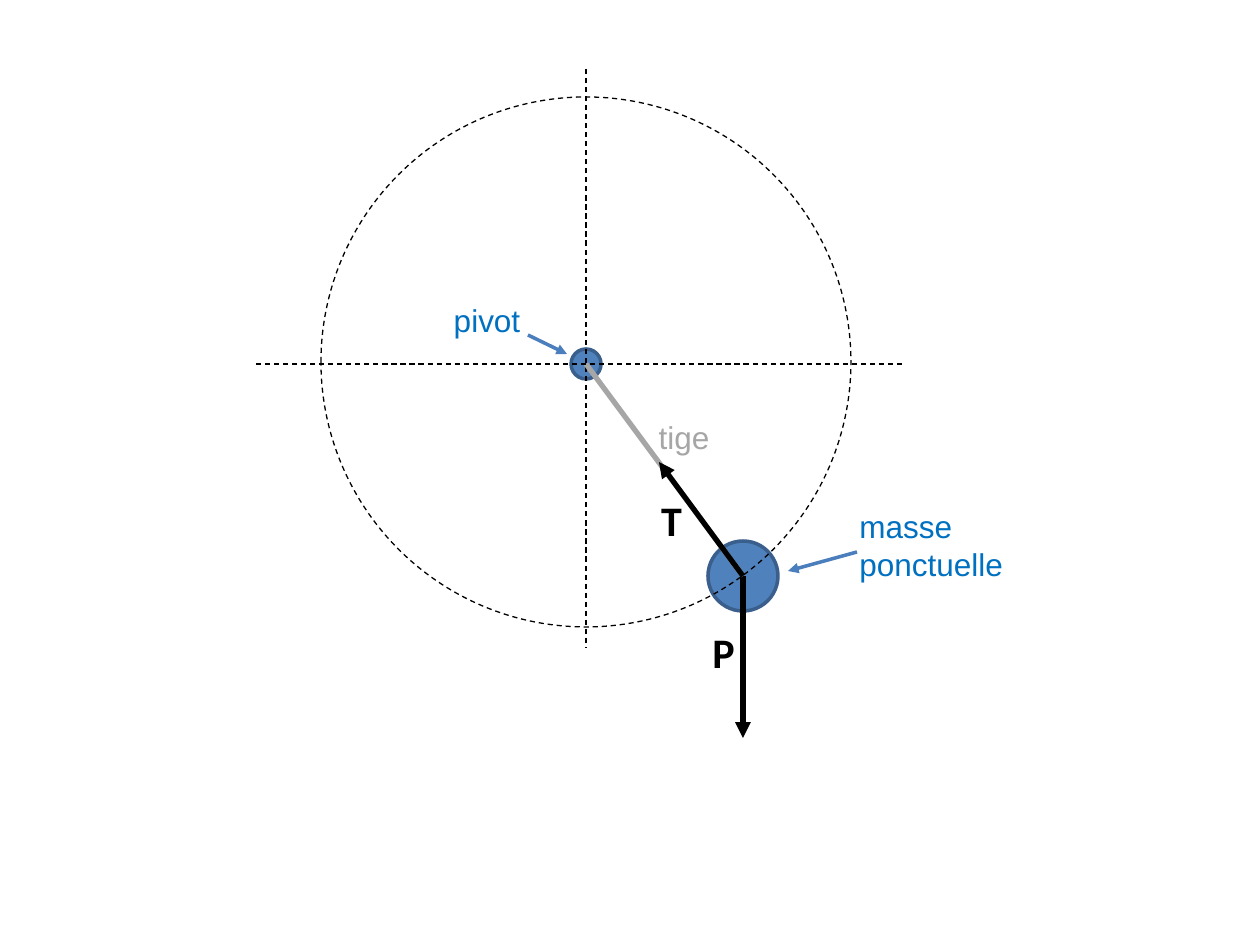
import pptx
import pptx.dml.color
import pptx.enum.dml
import pptx.enum.shapes
import pptx.enum.text
import pptx.oxml.ns
import pptx.util
from lxml import etree

RGBColor = pptx.dml.color.RGBColor
BLACK = RGBColor(0x00, 0x00, 0x00)
GREY = RGBColor(0xA6, 0xA6, 0xA6)
BALL_FILL = RGBColor(0x4F, 0x81, 0xBD)
BALL_EDGE = RGBColor(0x3A, 0x5F, 0x8C)
POINTER = RGBColor(0x4B, 0x7E, 0xBC)
LABEL = RGBColor(0x00, 0x70, 0xC0)

LEFT = pptx.enum.text.PP_ALIGN.LEFT
CENTER = pptx.enum.text.PP_ALIGN.CENTER

PIVOT = (586, 364)
MASS = (743, 576)


def px(length):
    return pptx.util.Emu(round(length * 914400 / 126))


def style_line(line, color, width, dashed=False):
    line.color.rgb = color
    line.width = pptx.util.Pt(width)
    if dashed:
        line.dash_style = pptx.enum.dml.MSO_LINE.DASH


def add_circle(page, center, radius, fill=None):
    x, y = center
    circle = page.shapes.add_shape(
        pptx.enum.shapes.MSO_SHAPE.OVAL,
        px(x - radius), px(y - radius), px(2 * radius), px(2 * radius))
    circle.shadow.inherit = False
    if fill is None:
        circle.fill.background()
    else:
        circle.fill.solid()
        circle.fill.fore_color.rgb = fill
    return circle


def add_ball(page, center, radius):
    ball = add_circle(page, center, radius, BALL_FILL)
    style_line(ball.line, BALL_EDGE, 2)


def add_line(page, start, end, color, width, dashed=False):
    connector = page.shapes.add_connector(
        pptx.enum.shapes.MSO_CONNECTOR.STRAIGHT,
        px(start[0]), px(start[1]), px(end[0]), px(end[1]))
    style_line(connector.line, color, width, dashed)
    etree.SubElement(connector._element.spPr, pptx.oxml.ns.qn("a:effectLst"))
    return connector


def add_arrow(page, start, end, color, width):
    arrow = add_line(page, start, end, color, width)
    outline = arrow.line._get_or_add_ln()
    etree.SubElement(outline, pptx.oxml.ns.qn("a:tailEnd"), type="triangle")


def add_label(page, text, bounds, color, align=CENTER, font="Arial", size=18, bold=False):
    box = page.shapes.add_textbox(*[px(length) for length in bounds])
    box.text_frame.word_wrap = True
    para = box.text_frame.paragraphs[0]
    para.alignment = align
    span = para.add_run()
    span.text = text
    span.font.name = font
    span.font.size = pptx.util.Pt(size)
    span.font.bold = bold
    span.font.color.rgb = color


def add_force_label(page, text, left, top):
    add_label(page, text, (left, top, 79, 63), BLACK, font="Calibri", size=24, bold=True)


def main():
    deck = pptx.Presentation()
    deck.slide_width = px(1260)
    deck.slide_height = px(945)
    page = deck.slides.add_slide(deck.slide_layouts[6])

    add_ball(page, PIVOT, 15)
    add_ball(page, MASS, 35)
    add_line(page, (PIVOT[0], 69), (PIVOT[0], 648), BLACK, 0.75, dashed=True)
    add_arrow(page, MASS, (MASS[0], 738), BLACK, 3)
    add_line(page, PIVOT, MASS, GREY, 3)
    add_line(page, (256, PIVOT[1]), (906, PIVOT[1]), BLACK, 0.75, dashed=True)
    orbit = add_circle(page, (PIVOT[0], 362), 265)
    style_line(orbit.line, BLACK, 0.75, dashed=True)

    add_label(page, "pivot", (433, 295, 108, 50), LABEL)
    add_label(page, "masse ponctuelle", (847, 501, 197, 89), LABEL, LEFT)
    add_arrow(page, (528, 335), (567, 354), POINTER, 2)
    add_arrow(page, (857, 552), (788, 571), POINTER, 2)
    add_arrow(page, MASS, (659, 462), BLACK, 3)
    add_label(page, "tige", (630, 412, 108, 50), GREY)
    add_force_label(page, "T", 632, 488)
    add_force_label(page, "P", 684, 620)

    deck.save("out.pptx")


if __name__ == "__main__":
    main()
